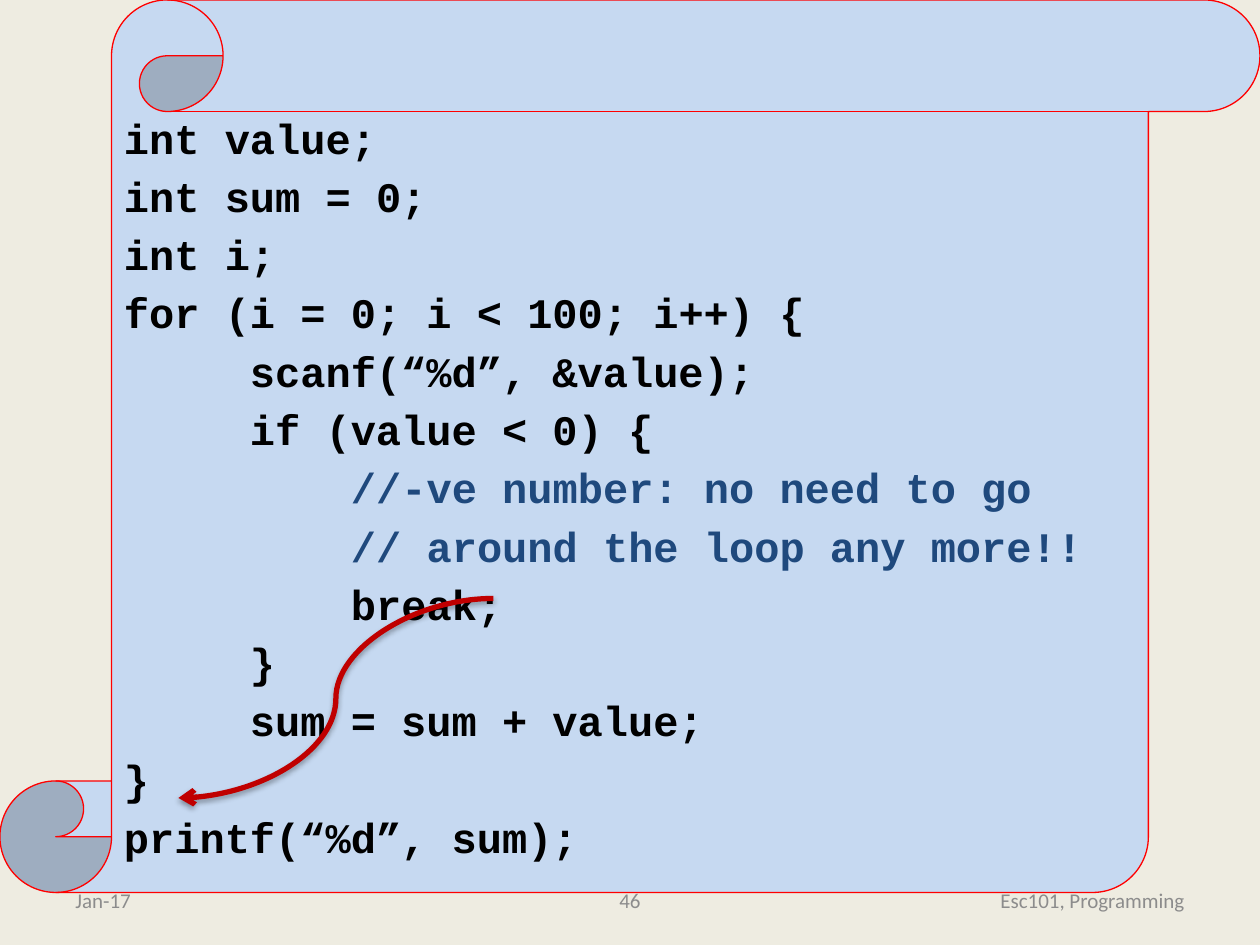
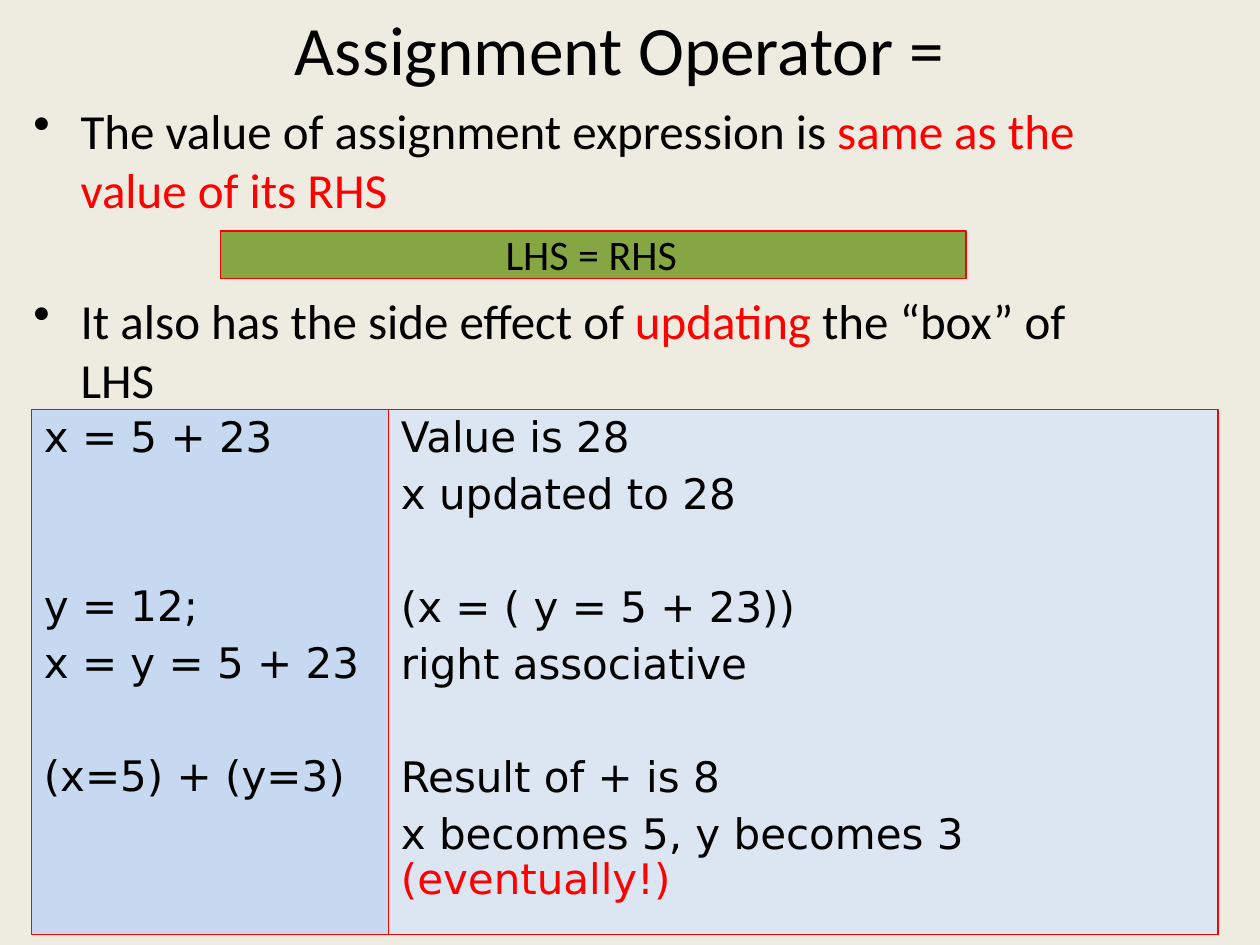
from lxml.etree import SubElement
from pptx import Presentation
from pptx.dml.color import RGBColor
from pptx.enum.shapes import MSO_CONNECTOR as Connector, MSO_SHAPE as Preset
from pptx.enum.text import MSO_ANCHOR as Anchor, PP_ALIGN as Align
from pptx.oxml.ns import qn
from pptx.util import Emu, Pt

EMU_PER_PX = 9525
COLORS = {
    "paper": "EEECE1",
    "code_panel": "C6D9F1",
    "result_panel": "DCE6F2",
    "formula": "86A644",
    "outline": "FF0000",
    "accent": "FF0000",
    "text": "000000",
    "comment": "1F497D",
    "footer": "8C8C8C",
    "arrow": "C00000",
}
BODY_FONT, CODE_FONT, RESULT_FONT = "Calibri", "Courier New", "DejaVu Sans"
PANEL_LINE_PITCH = 32  # points from one panel line to the next

# (indent in characters, colour, text)
LOOP_CODE = [
    (0, "text", "int value;"),
    (0, "text", "int sum = 0;"),
    (0, "text", "int i;"),
    (0, "text", "for (i = 0; i < 100; i++) {"),
    (5, "text", "scanf(“%d”, &value);"),
    (5, "text", "if (value < 0) {"),
    (9, "comment", "//-ve number: no need to go"),
    (9, "comment", "// around the loop any more!!"),
    (9, "text", "break;"),
    (5, "text", "}"),
    (5, "text", "sum = sum + value;"),
    (0, "text", "}"),
    (0, "text", "printf(“%d”, sum);"),
]

# (lines skipped above, text pieces)
STATEMENTS = [
    (0, ["x = 5 + 23"]),
    (2, ["y = 12;"]),
    (0, ["x = y = 5 + 23"]),
    (1, ["(x=5) + (y=3)"]),
]
RESULTS = [
    (0, ["Value is 28"]),
    (0, ["x updated to 28"]),
    (1, ["(x = ( y = 5 + 23))"]),
    (0, ["right associative"]),
    (1, ["Result of + is 8"]),
    (0, ["x becomes 5, y becomes 3 ", ("(eventually!)", "accent")]),
]


def px(length):
    return Emu(length * EMU_PER_PX)


def rgb(name):
    return RGBColor.from_string(COLORS[name])


def add_slide(deck):
    slide = deck.slides.add_slide(deck.slide_layouts[6])
    slide.background.fill.solid()
    slide.background.fill.fore_color.rgb = rgb("paper")
    return slide


def add_panel(slide, preset, box, fill):
    """Add a red-outlined shape whose text starts at the top left."""
    panel = slide.shapes.add_shape(preset, *map(px, box))
    panel.shadow.inherit = False
    panel.fill.solid()
    panel.fill.fore_color.rgb = rgb(fill)
    panel.line.color.rgb = rgb("outline")
    panel.line.width = Pt(0.75)
    panel.text_frame.vertical_anchor = Anchor.TOP
    return panel.text_frame


def add_text_area(slide, box, anchor=Anchor.TOP):
    frame = slide.shapes.add_textbox(*map(px, box)).text_frame
    frame.word_wrap = True
    frame.vertical_anchor = anchor
    return frame


def add_line(frame, pieces, font, size, color="text", align=Align.LEFT,
             before=0, spacing=None):
    """Write one paragraph; a piece is a string or a (string, colour) pair."""
    first = frame.paragraphs[0]
    line = frame.add_paragraph() if first.runs else first
    line.alignment = align
    line.space_before = Pt(before)
    line.line_spacing = spacing
    line.font.name = font
    line.font.size = Pt(size)
    line.font.color.rgb = rgb(color)
    for piece in pieces:
        words, accent = (piece, None) if isinstance(piece, str) else piece
        run = line.add_run()
        run.text = words
        if accent:
            run.font.color.rgb = rgb(accent)
    return line


def indent(line, left, first=0, bullet=None):
    properties = line._p.get_or_add_pPr()
    properties.set("marL", str(px(left)))
    properties.set("indent", str(px(first)))
    if bullet:
        mark = properties.makeelement(qn("a:buChar"), {"char": bullet})
        properties.find(qn("a:defRPr")).addprevious(mark)


def add_footer(slide, date, number, course):
    parts = [
        (48, 224, date, Align.LEFT),
        (328, 304, number, Align.CENTER),
        (688, 224, course, Align.RIGHT),
    ]
    for left, width, words, align in parts:
        frame = add_text_area(slide, (left, 667, width, 38), Anchor.MIDDLE)
        add_line(frame, [words], BODY_FONT, 12, "footer", align)


def add_jump_arrow(slide, start, end):
    """Draw a curved arrow with a soft shadow below it."""
    arrow = slide.shapes.add_connector(Connector.CURVE, *map(px, start + end))
    arrow.line.color.rgb = rgb("arrow")
    arrow.line.width = Pt(3)
    SubElement(arrow.line._get_or_add_ln(), qn("a:tailEnd"), type="arrow")
    effects = SubElement(arrow._element.spPr, qn("a:effectLst"))
    shadow = SubElement(effects, qn("a:outerShdw"), blurRad=str(Pt(3.1)),
                        dist=str(Pt(1.8)), dir="5400000", rotWithShape="0")
    black = SubElement(shadow, qn("a:srgbClr"), val=COLORS["text"])
    SubElement(black, qn("a:alpha"), val="35000")


def add_example_column(slide, box, fill, lines):
    frame = add_panel(slide, Preset.RECTANGLE, box, fill)
    for skipped, pieces in lines:
        add_line(frame, pieces, RESULT_FONT, 24, spacing=0.9,
                 before=6.7 + skipped * PANEL_LINE_PITCH)


def add_bullet(frame, pieces):
    line = add_line(frame, pieces, BODY_FONT, 28, before=6.7)
    indent(line, 36, -36, "•")


def build_break_slide(deck):
    slide = add_slide(deck)
    add_footer(slide, "Jan-17", "46", "Esc101, Programming")
    scroll = add_panel(slide, Preset.VERTICAL_SCROLL, (0, 0, 960, 680),
                       "code_panel")
    for characters, color, code in LOOP_CODE:
        line = add_line(scroll, [code], CODE_FONT, 24, color,
                        before=7.4, spacing=0.9)
        line.font.bold = True
        indent(line, round(characters * 19.2))
    add_jump_arrow(slide, (376, 456), (136, 608))


def build_assignment_slide(deck):
    slide = add_slide(deck)
    add_panel(slide, Preset.RECTANGLE, (168, 176, 568, 36), "formula")
    title = add_text_area(slide, (64, 0, 816, 72), Anchor.MIDDLE)
    add_line(title, ["Assignment Operator ="], BODY_FONT, 39.6,
             align=Align.CENTER)

    body = add_text_area(slide, (16, 72, 827, 280))
    add_bullet(body, ["The value of assignment expression is ",
                      ("same as the value of its RHS", "accent")])
    formula = add_line(body, ["LHS = RHS"], BODY_FONT, 24,
                       align=Align.CENTER, before=5.8)
    indent(formula, 42)
    add_bullet(body, ["It also has the side effect of ",
                      ("updating", "accent"), " the “box” of LHS"])

    add_example_column(slide, (24, 312, 336, 400), "code_panel", STATEMENTS)
    add_example_column(slide, (296, 312, 632, 400), "result_panel", RESULTS)


def main():
    deck = Presentation()
    deck.slide_width, deck.slide_height = px(960), px(720)
    build_break_slide(deck)
    build_assignment_slide(deck)
    deck.save("out.pptx")


if __name__ == "__main__":
    main()
